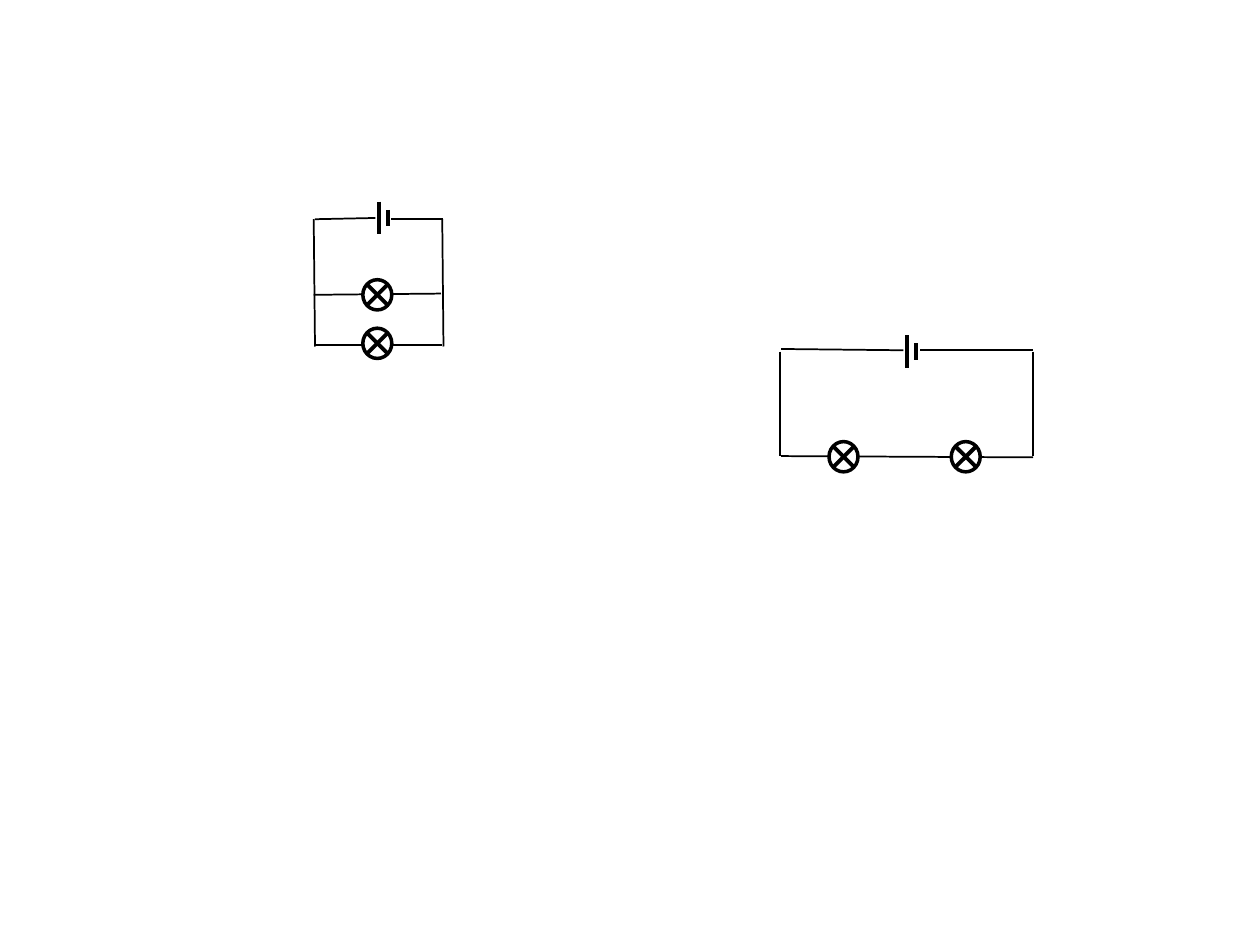
from typing import NamedTuple

from lxml.etree import SubElement
from pptx import Presentation
from pptx.dml.color import RGBColor
from pptx.enum.shapes import MSO_CONNECTOR, MSO_SHAPE
from pptx.oxml.ns import qn
from pptx.shapes.shapetree import GroupShapes
from pptx.util import Inches, Pt

INK = RGBColor(0x00, 0x00, 0x00)
PAPER = RGBColor(0xFF, 0xFF, 0xFF)

COLUMNS, ROWS = 100, 75
SLIDE_WIDTH, SLIDE_HEIGHT = Inches(10), Inches(7.5)

WIRE_WEIGHT, BULB_WEIGHT, SYMBOL_WEIGHT = 1, 2, 2.25
BULB_WIDTH, BULB_HEIGHT = 2.3, 2.4
FILAMENT_REACH = 0.82
PLATE_GAP = 0.7
LONG_PLATE, SHORT_PLATE = 2.6, 1.3


class Point(NamedTuple):
    column: float
    row: float


class Wire(NamedTuple):
    start: Point
    end: Point


class Circuit(NamedTuple):
    wires: list[Wire]
    cell: Point
    lamps: list[Point]


SERIES = Circuit(
    wires=[
        Wire(Point(82, 27.8), Point(73, 27.8)),
        Wire(Point(71.7, 27.8), Point(62, 27.7)),
        Wire(Point(82, 27.9), Point(82, 36.2)),
        Wire(Point(61.9, 27.9), Point(61.9, 36.2)),
        Wire(Point(62, 36.2), Point(82, 36.3)),
    ],
    cell=Point(72, 27.9),
    lamps=[Point(66.95, 36.25), Point(76.65, 36.25)],
)
PARALLEL = Circuit(
    wires=[
        Wire(Point(35.2, 17.4), Point(31, 17.4)),
        Wire(Point(29.8, 17.3), Point(25, 17.4)),
        Wire(Point(24.9, 17.4), Point(25, 27.5)),
        Wire(Point(35.1, 17.4), Point(35.2, 27.5)),
        Wire(Point(35.1, 27.4), Point(25.1, 27.4)),
        Wire(Point(35, 23.3), Point(24.9, 23.4)),
    ],
    cell=Point(30.1, 17.3),
    lamps=[Point(29.95, 23.4), Point(29.95, 27.25)],
)


def across(columns: float) -> int:
    return round(SLIDE_WIDTH * columns / COLUMNS)


def down(rows: float) -> int:
    return round(SLIDE_HEIGHT * rows / ROWS)


def draw_line(shapes: GroupShapes, start: Point, end: Point, weight: float) -> None:
    line = shapes.add_connector(
        MSO_CONNECTOR.STRAIGHT,
        across(start.column), down(start.row),
        across(end.column), down(end.row),
    )
    line.line.color.rgb = INK
    line.line.width = Pt(weight)
    SubElement(line._element.spPr, qn("a:effectLst"))


def draw_cell(shapes: GroupShapes, center: Point) -> None:
    column, row = center
    for offset, length in ((0, LONG_PLATE), (PLATE_GAP, SHORT_PLATE)):
        top = Point(column + offset, row - length / 2)
        bottom = Point(column + offset, row + length / 2)
        draw_line(shapes, top, bottom, SYMBOL_WEIGHT)


def draw_lamp(shapes: GroupShapes, center: Point) -> None:
    column, row = center
    bulb = shapes.add_shape(
        MSO_SHAPE.OVAL,
        across(column - BULB_WIDTH / 2), down(row - BULB_HEIGHT / 2),
        across(BULB_WIDTH), down(BULB_HEIGHT),
    )
    bulb.shadow.inherit = False
    bulb.fill.solid()
    bulb.fill.fore_color.rgb = PAPER
    bulb.line.color.rgb = INK
    bulb.line.width = Pt(BULB_WEIGHT)
    for reach in (FILAMENT_REACH, -FILAMENT_REACH):
        start = Point(column - reach, row - FILAMENT_REACH)
        end = Point(column + reach, row + FILAMENT_REACH)
        draw_line(shapes, start, end, SYMBOL_WEIGHT)


def draw_circuit(shapes: GroupShapes, circuit: Circuit) -> None:
    for wire in circuit.wires:
        draw_line(shapes, wire.start, wire.end, WIRE_WEIGHT)
    draw_cell(shapes, circuit.cell)
    for lamp in circuit.lamps:
        draw_lamp(shapes, lamp)


def main() -> None:
    presentation = Presentation()
    presentation.slide_width = SLIDE_WIDTH
    presentation.slide_height = SLIDE_HEIGHT
    slide = presentation.slides.add_slide(presentation.slide_layouts[6])
    slide.background.fill.solid()
    slide.background.fill.fore_color.rgb = PAPER
    for circuit in (SERIES, PARALLEL):
        draw_circuit(slide.shapes.add_group_shape().shapes, circuit)
    presentation.save("out.pptx")


if __name__ == "__main__":
    main()
